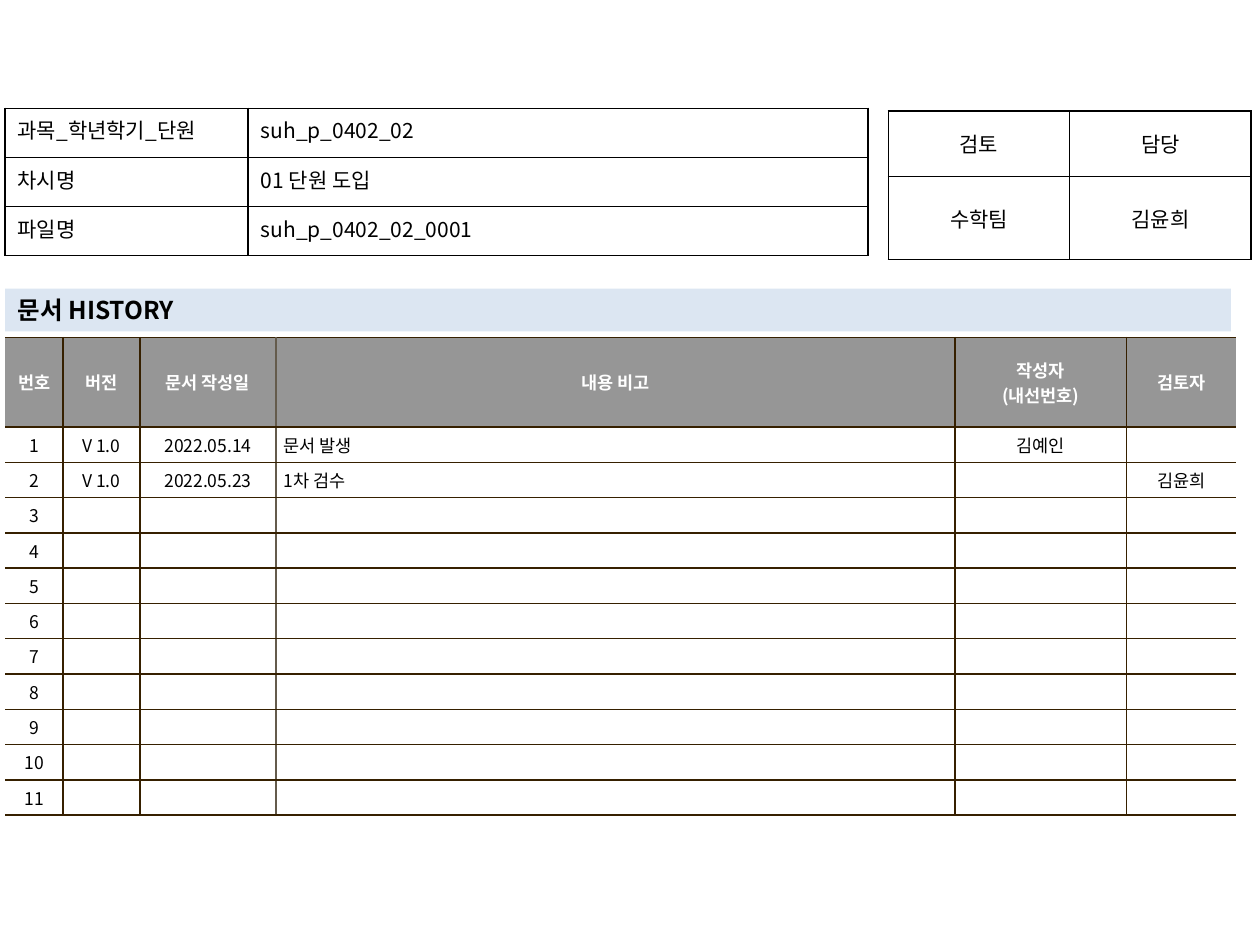
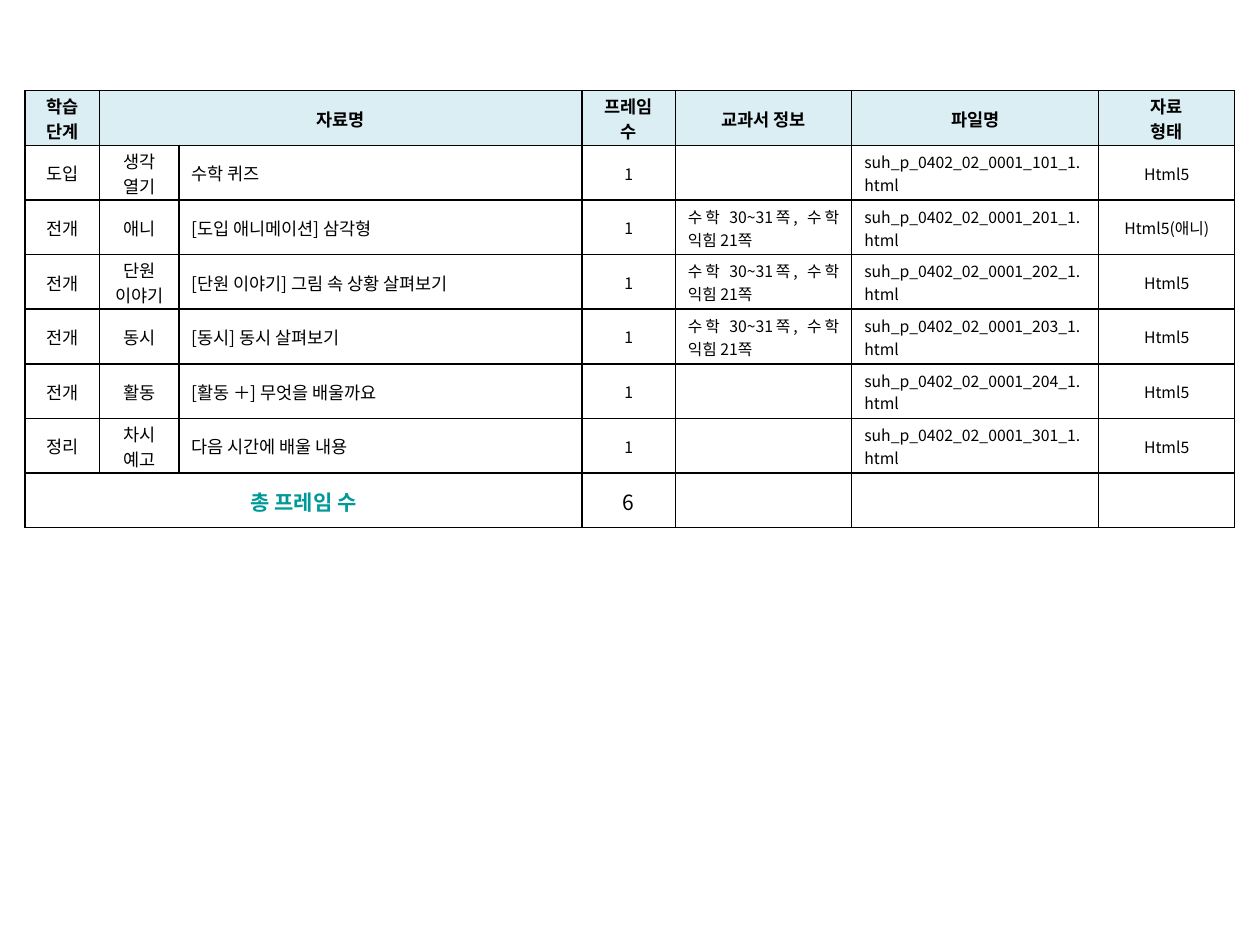
from lxml.etree import SubElement
from pptx import Presentation
from pptx.dml.color import RGBColor
from pptx.enum.text import MSO_ANCHOR, MSO_AUTO_SIZE, PP_ALIGN
from pptx.oxml.ns import qn
from pptx.util import Inches, Pt

FONT = "Noto Sans CJK KR"
BLACK, WHITE, TEAL = "000000", "FFFFFF", "009999"
BROWN, TAUPE, GRAY = "362000", "645B4C", "969696"
BAND, HEAD = "DCE6F2", "DBEEF4"
LEFT, MID, JUST = PP_ALIGN.LEFT, PP_ALIGN.CENTER, PP_ALIGN.JUSTIFY


def tint(code):
    """Turn a hex string into a colour."""
    return RGBColor.from_string(code)


def style(frame, size, color=BLACK, bold=False, align=LEFT):
    """Format every paragraph of a text frame."""
    for para in frame.paragraphs:
        para.alignment = align
        font = para.font
        font.size, font.bold, font.name = Pt(size), bold, FONT
        font.color.rgb = tint(color)
        SubElement(para._p.pPr.find(qn("a:defRPr")), qn("a:ea"), typeface=FONT)
        if not para.text:
            SubElement(para._p, qn("a:endParaRPr"), sz=str(size * 100))


def paint(cell, fill):
    """Fill a cell, or leave it clear."""
    if fill:
        cell.fill.solid()
        cell.fill.fore_color.rgb = tint(fill)
    else:
        cell.fill.background()


def edge(cell, sides):
    """Draw one-point borders, or none where a side has no colour."""
    props = cell._tc.get_or_add_tcPr()
    for spot, side in enumerate("LRTB"):
        line = SubElement(props, qn("a:ln" + side), w=str(Pt(1)))
        props.remove(line)
        props.insert(spot, line)
        color = sides[side]
        if color:
            fill = SubElement(line, qn("a:solidFill"))
            SubElement(fill, qn("a:srgbClr"), val=color)
        else:
            SubElement(line, qn("a:noFill"))


def inset(cell, side, top, base):
    """Set the margins of a cell."""
    cell.margin_left = cell.margin_right = Inches(side)
    cell.margin_top, cell.margin_bottom = Inches(top), Inches(base)


def grid(slide, left, top, cols, rows, data, rules, pad, anchor=MSO_ANCHOR.MIDDLE):
    """Add a table whose upright rules have the given colours."""
    table = slide.shapes.add_table(
        len(rows), len(cols), Inches(left), Inches(top),
        Inches(sum(cols)), Inches(sum(rows))).table
    table.first_row = table.horz_banding = False
    for col, width in zip(table.columns, cols):
        col.width = Inches(width)
    for row, height, words in zip(table.rows, rows, data):
        row.height = Inches(height)
        for num, (cell, text) in enumerate(zip(row.cells, words)):
            cell.text = text
            cell.vertical_anchor = anchor
            inset(cell, *pad)
            paint(cell, None)
            flat = rules[1]
            edge(cell, {"L": rules[num], "R": rules[num + 1], "T": flat, "B": flat})
    return table


def banner(slide, text):
    """Format the title as a tinted band."""
    title = slide.shapes.title
    title.left, title.top = Inches(0.04), Inches(2.29)
    title.width, title.height = Inches(9.73), Inches(0.34)
    title.fill.solid()
    title.fill.fore_color.rgb = tint(BAND)
    frame = title.text_frame
    frame.text = text
    frame.auto_size = MSO_AUTO_SIZE.NONE
    frame.vertical_anchor = MSO_ANCHOR.MIDDLE
    style(frame, 14, bold=True)


def log(slide):
    """Add the table of document versions."""
    count = 11
    data = [
        ["번호", "버전", "문서 작성일", "내용 비고", "작성자\n(내선번호)", "검토자"],
        ["1", "V 1.0", "2022.05.14", "문서 발생", "김예인", ""],
        ["2", "V 1.0", "2022.05.23", "1차 검수", "", "김윤희"],
    ]
    data += [[str(num)] + [""] * 5 for num in range(3, count + 1)]
    rules = [None, BROWN, BROWN, TAUPE, BROWN, BROWN, None]
    table = grid(slide, 0.04, 2.68, [0.46, 0.61, 1.08, 5.39, 1.36, 0.87],
                 [0.71] + [0.28] * count, data, rules, (0.06, 0.04, 0.04))
    for num, row in enumerate(table.rows):
        for col, cell in enumerate(row.cells):
            head = num == 0
            paint(cell, GRAY if head else WHITE)
            style(cell.text_frame, 10, WHITE if head else BLACK, head,
                  LEFT if col == 3 and not head else MID)


def cover(slide):
    """Add the lesson facts and the sign-off box."""
    facts = [
        ["과목_학년학기_단원", "suh_p_0402_02"],
        ["차시명", "01 단원 도입"],
        ["파일명", "suh_p_0402_02_0001"],
    ]
    signs = [["검토", "담당"], ["수학팀", "김윤희"]]
    pad, rules = (0.1, 0.05, 0.05), [BLACK] * 3
    info = grid(slide, 0.04, 0.86, [1.93, 4.92], [0.39] * 3, facts, rules, pad,
                MSO_ANCHOR.TOP)
    sign = grid(slide, 7.05, 0.88, [1.44] * 2, [0.52, 0.66], signs, rules, pad)
    for table, align in ((info, LEFT), (sign, MID)):
        for cell in table.iter_cells():
            style(cell.text_frame, 12, align=align)


def frames(slide):
    """Add the table of lesson frames with its total."""
    book = "수학 30~31쪽, 수학 익힘 21쪽"
    steps = [
        ("도입", "생각\n열기", "수학 퀴즈", "", "101", "Html5"),
        ("전개", "애니", "[도입 애니메이션] 삼각형", book, "201", "Html5(애니)"),
        ("전개", "단원\n이야기", "[단원 이야기] 그림 속 상황 살펴보기", book, "202", "Html5"),
        ("전개", "동시", "[동시] 동시 살펴보기", book, "203", "Html5"),
        ("전개", "활동", "[활동 ＋] 무엇을 배울까요", "", "204", "Html5"),
        ("정리", "차시 예고", "다음 시간에 배울 내용", "", "301", "Html5"),
    ]
    data = [["학습 단계", "자료명", "", "프레임 수", "교과서 정보", "파일명", "자료\n형태"]]
    data += [[step, part, name, "1", pages, f"suh_p_0402_02_0001_{code}_1.html", kind]
             for step, part, name, pages, code, kind in steps]
    data.append(["총 프레임 수", "", "", str(len(steps)), "", "", ""])
    last = len(data) - 1
    table = grid(slide, 0.2, 0.72, [0.59, 0.63, 3.2, 0.74, 1.4, 1.96, 1.08],
                 [3.47 / len(data)] * len(data), data, [BLACK] * 8, (0.1, 0.02, 0.01))
    aligns = [MID, MID, LEFT, MID, JUST, JUST, MID]
    for num, row in enumerate(table.rows):
        for col, cell in enumerate(row.cells):
            frame = cell.text_frame
            if num == 0:
                paint(cell, HEAD)
                style(frame, 10, bold=True, align=MID)
            elif num == last:
                total = col == 0
                style(frame, 12, TEAL if total else BLACK, total, MID)
            else:
                style(frame, 10 if col < 3 else 9, align=aligns[col])
    table.cell(0, 1).merge(table.cell(0, 2))
    table.cell(last, 0).merge(table.cell(last, 2))


def main():
    """Build both slides and save them."""
    deck = Presentation()
    deck.slide_width, deck.slide_height = Inches(10), Inches(7.5)
    first = deck.slides.add_slide(deck.slide_layouts[5])
    banner(first, "문서 HISTORY")
    log(first)
    cover(first)
    frames(deck.slides.add_slide(deck.slide_layouts[6]))
    deck.save("out.pptx")


if __name__ == "__main__":
    main()
